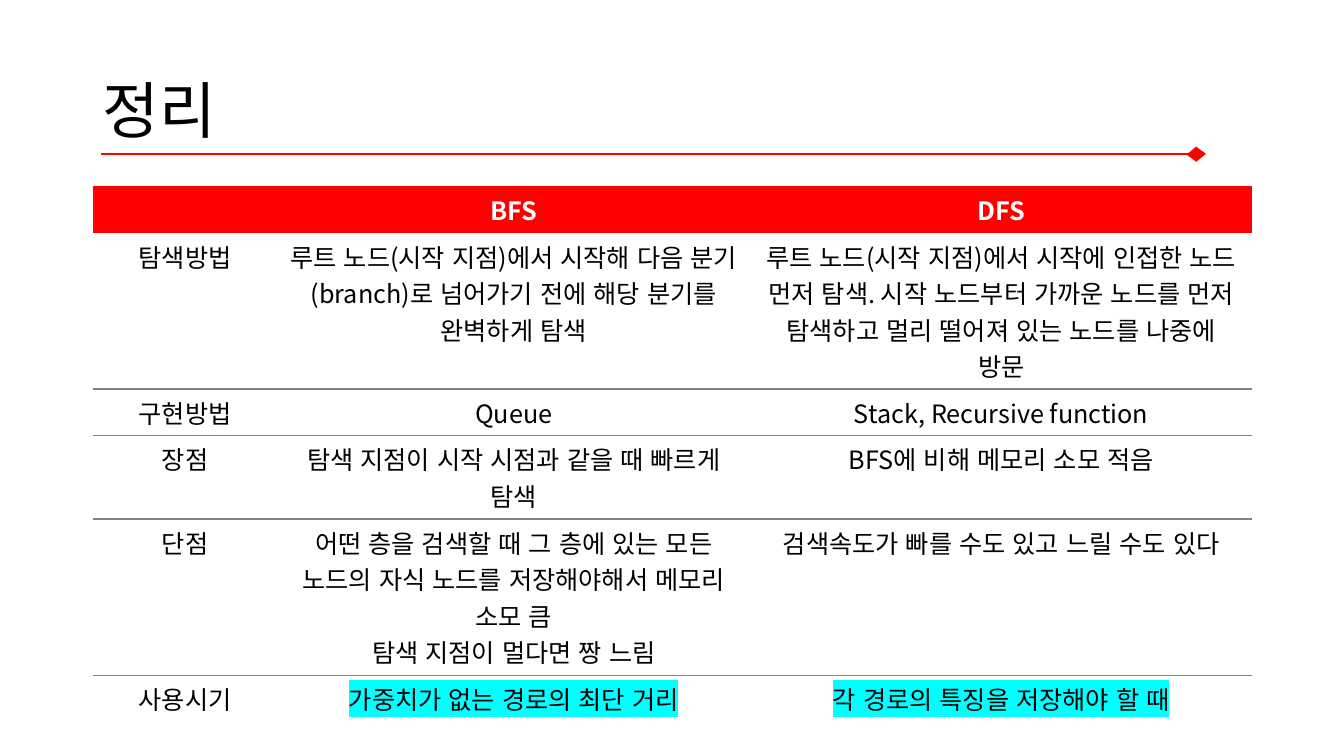
from dataclasses import dataclass

from lxml import etree
from pptx import Presentation
from pptx.dml.color import RGBColor
from pptx.enum.lang import MSO_LANGUAGE_ID
from pptx.enum.shapes import MSO_CONNECTOR, MSO_SHAPE
from pptx.enum.text import MSO_ANCHOR, PP_ALIGN
from pptx.oxml.ns import qn
from pptx.util import Inches, Pt


@dataclass(frozen=True)
class Theme:
    font: str = "Noto Sans CJK KR"
    accent: str = "FF0000"
    ink: str = "000000"
    paper: str = "FFFFFF"
    rule: str = "808080"
    mark: str = "00FFFF"
    title_size: int = 44
    table_size: int = 18
    title_spacing: float = 0.9
    accent_width: float = 1.5
    rule_width: float = 1


THEME = Theme()
COLUMN_WIDTHS = [1.83, 4.69, 4.98]
ROW_HEIGHTS = [0.46, 1.55, 0.46, 0.83, 1.55, 0.46]
ROWS = [
    ["", "BFS", "DFS"],
    ["탐색방법",
     "루트 노드(시작 지점)에서 시작해 다음 분기 (branch)로 넘어가기 전에 해당 분기를 완벽하게 탐색",
     "루트 노드(시작 지점)에서 시작에 인접한 노드 먼저 탐색. 시작 노드부터 가까운 노드를 "
     "먼저 탐색하고 멀리 떨어져 있는 노드를 나중에 방문"],
    ["구현방법", "Queue", "Stack, Recursive function"],
    ["장점", "탐색 지점이 시작 시점과 같을 때 빠르게 탐색", "BFS에 비해 메모리 소모 적음"],
    ["단점",
     "어떤 층을 검색할 때 그 층에 있는 모든 노드의 자식 노드를 저장해야해서 메모리 소모 큼\n"
     "탐색 지점이 멀다면 짱 느림",
     "검색속도가 빠를 수도 있고 느릴 수도 있다"],
    ["사용시기", "가중치가 없는 경로의 최단 거리", "각 경로의 특징을 저장해야 할 때"],
]


def set_attrs(target, formats):
    for name, value in formats.items():
        setattr(target, name, value)


def add_color(parent, tag, color):
    holder = etree.SubElement(parent, qn(tag))
    etree.SubElement(holder, qn("a:srgbClr"), val=color)
    return holder


def add_run(p, text, size, color, bold=False, highlight=None):
    r = p.add_run()
    r.text = text
    set_attrs(r.font, {"name": THEME.font, "size": Pt(size), "bold": bold,
                       "language_id": MSO_LANGUAGE_ID.KOREAN})
    r.font.color.rgb = RGBColor.from_string(color)
    rPr = r.font._element
    rPr.set("kern", "0")
    latin = rPr.find(qn("a:latin"))
    latin.addnext(etree.Element(qn("a:ea"), typeface=THEME.font))
    if highlight:
        latin.addprevious(add_color(rPr, "a:highlight", highlight))


def add_title(s, text):
    box = s.shapes.add_textbox(Inches(0.92), Inches(0.4), Inches(11.5), Inches(1.45))
    tf = box.text_frame
    set_attrs(tf, {"word_wrap": True, "vertical_anchor": MSO_ANCHOR.MIDDLE})
    p = tf.paragraphs[0]
    p.line_spacing = THEME.title_spacing
    add_run(p, text, THEME.title_size, THEME.ink)


def add_title_rule(s):
    accent = RGBColor.from_string(THEME.accent)
    y = Inches(1.53)
    rule = s.shapes.add_connector(MSO_CONNECTOR.STRAIGHT, Inches(1), y, Inches(11.87), y)
    rule.line.color.rgb = accent
    rule.line.width = Pt(THEME.accent_width)
    etree.SubElement(rule._element.spPr, qn("a:effectLst"))

    tip = s.shapes.add_shape(MSO_SHAPE.PARALLELOGRAM, Inches(11.79), Inches(1.47),
                             Inches(0.15), Inches(0.12))
    tip.rotation = 36.7
    tip.shadow.inherit = False
    tip.fill.solid()
    tip.fill.fore_color.rgb = accent
    tip.line.fill.background()


def set_borders(cell, ruled_sides):
    tcPr = cell._tc.get_or_add_tcPr()
    for i, side in enumerate("LRTB"):
        ln = etree.Element(qn(f"a:ln{side}"))
        if side in ruled_sides:
            ln.set("w", str(Pt(THEME.rule_width)))
            add_color(ln, "a:solidFill", THEME.rule)
        else:
            etree.SubElement(ln, qn("a:noFill"))
        tcPr.insert(i, ln)


def fill_cell(cell, text, header, highlight, ruled_sides):
    if header:
        cell.fill.solid()
        cell.fill.fore_color.rgb = RGBColor.from_string(THEME.accent)
    else:
        cell.fill.background()
    set_borders(cell, ruled_sides)
    tf = cell.text_frame
    for i, line in enumerate(text.split("\n")):
        p = tf.add_paragraph() if i else tf.paragraphs[0]
        p.alignment = PP_ALIGN.CENTER
        add_run(p, line, THEME.table_size, THEME.paper if header else THEME.ink,
                header, highlight)


def add_comparison(s):
    frame = s.shapes.add_table(len(ROWS), len(COLUMN_WIDTHS), Inches(0.92), Inches(1.85),
                               Inches(sum(COLUMN_WIDTHS)), Inches(sum(ROW_HEIGHTS)))
    table = frame.table
    set_attrs(table, {"first_row": False, "horz_banding": False})
    for column, width in zip(table.columns, COLUMN_WIDTHS):
        column.width = Inches(width)
    last = len(ROWS) - 1
    for i, texts in enumerate(ROWS):
        table.rows[i].height = Inches(ROW_HEIGHTS[i])
        sides = ("T" if i > 1 else "") + ("B" if 0 < i < last else "")
        for j, text in enumerate(texts):
            highlight = THEME.mark if i == last and j > 0 else None
            fill_cell(table.cell(i, j), text, i == 0, highlight, sides)


def main():
    prs = Presentation()
    set_attrs(prs, {"slide_width": Inches(13.33), "slide_height": Inches(7.5)})
    s = prs.slides.add_slide(prs.slide_layouts[6])
    add_title_rule(s)
    add_title(s, "정리")
    add_comparison(s)
    prs.save("out.pptx")


if __name__ == "__main__":
    main()
